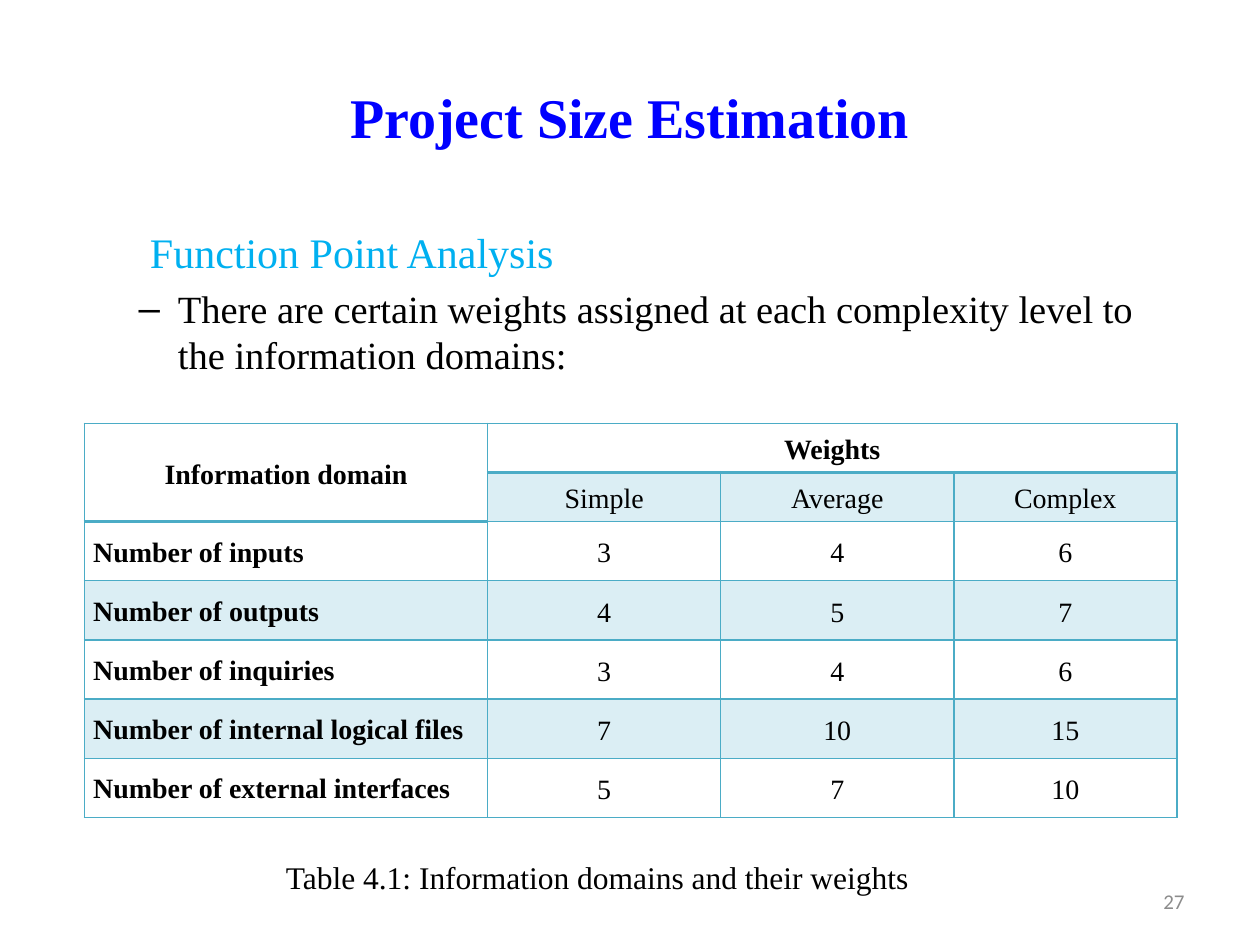
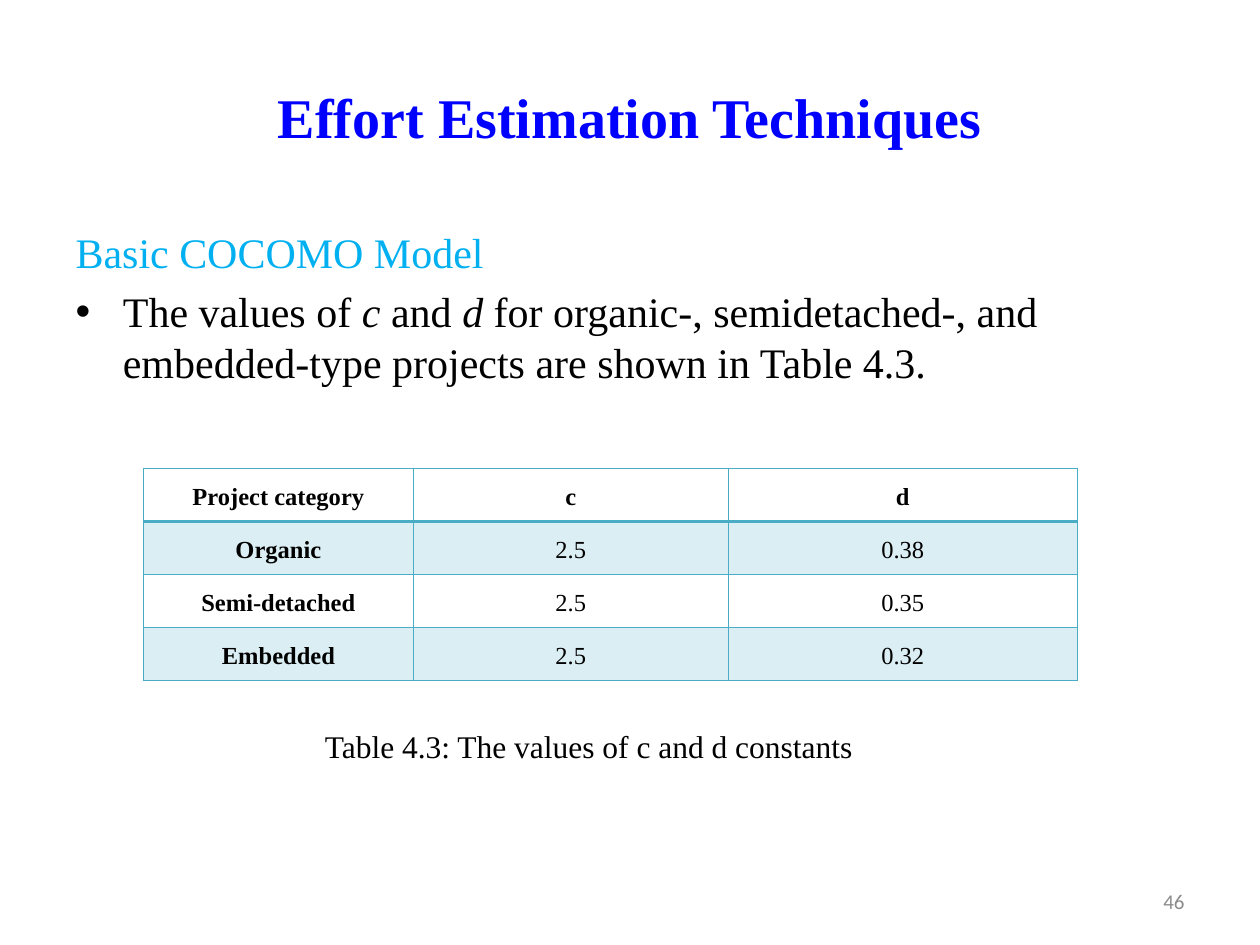
from lxml import etree
from pptx import Presentation
from pptx.dml.color import RGBColor
from pptx.enum.text import MSO_ANCHOR, PP_ALIGN
from pptx.oxml.ns import qn
from pptx.util import Inches, Pt

LEFT, MID, RIGHT = PP_ALIGN.LEFT, PP_ALIGN.CENTER, PP_ALIGN.RIGHT
TOP, CENTER = MSO_ANCHOR.TOP, MSO_ANCHOR.MIDDLE
SERIF, SANS = "Times New Roman", "Calibri"
HUES = {"title": "0000FF", "topic": "00B0F0", "text": "000000",
        "line": "4BACC6", "band": "DBEEF4", "page": "8C8C8C"}

SLIDES = [
    {"title": "Project Size Estimation",
     "topic": "Function Point Analysis", "indent": 0.59,
     "point": [("There are certain weights assigned at each complexity level "
                "to the information domains:", False)],
     "level": 1, "size": 22,
     "table": {
         "rows": [["Information domain", "Weights", "", ""],
                  ["", "Simple", "Average", "Complex"],
                  ["Number of inputs", "3", "4", "6"],
                  ["Number of outputs", "4", "5", "7"],
                  ["Number of inquiries", "3", "4", "6"],
                  ["Number of internal logical files", "7", "10", "15"],
                  ["Number of external interfaces", "5", "7", "10"]],
         "at": (0.67, 3.36), "cols": [3.2, 1.85, 1.85, 1.77],
         "heights": [0.39] * 2 + [0.47] * 5, "size": 16, "heads": 2,
         "merges": [(0, 0, 1, 0), (0, 1, 0, 3)],
         "names": (LEFT, TOP, 1.5)},
     "note": "Table 4.1: Information domains and their weights",
     "spot": (2.17, 6.76, 6.69, 0.4), "wrap": True, "page": "27"},
    {"title": "Effort Estimation Techniques",
     "topic": "Basic COCOMO Model", "indent": 0,
     "point": [("The values of ", False), ("c", True), (" and ", False),
               ("d", True), (" for organic-, semidetached-, and embedded-type "
                             "projects are shown in Table 4.3.", False)],
     "level": 0, "size": 24,
     "table": {
         "rows": [["Project category", "c", "d"],
                  ["Organic", "2.5", "0.38"],
                  ["Semi-detached", "2.5", "0.35"],
                  ["Embedded", "2.5", "0.32"]],
         "at": (1.14, 3.72), "cols": [2.14, 2.5, 2.77],
         "heights": [0.42] * 4, "size": 14, "heads": 1, "merges": [],
         "names": (MID, CENTER, 1.15)},
     "note": "Table 4.3: The values of c and d constants",
     "spot": (2.48, 5.72, 4.44, 0.4), "wrap": False, "page": "46"},
]


def style(run, size, hue, bold=False, slant=False, face=SERIF):
    font = run.font
    font.name, font.size = face, Pt(size)
    font.bold, font.italic = bold, slant
    font.color.rgb = RGBColor.from_string(HUES[hue])


def place(shape, *box):
    shape.left, shape.top, shape.width, shape.height = map(Inches, box)


def add_label(slide, text, box, size, hue, face=SERIF, align=LEFT,
              anchor=TOP, wrap=True):
    frame = slide.shapes.add_textbox(*map(Inches, box)).text_frame
    frame.word_wrap, frame.vertical_anchor = wrap, anchor
    frame.text = text
    para = frame.paragraphs[0]
    para.alignment = align
    style(para.runs[0], size, hue, face=face)


def fill_body(frame, data):
    frame.text = data["topic"]
    topic = frame.paragraphs[0]
    props = topic._p.get_or_add_pPr()
    props.set("marL", str(Inches(data["indent"])))
    props.set("indent", "0")
    etree.SubElement(props, qn("a:buNone"))
    topic.space_before = Pt(0)
    style(topic.runs[0], 24, "topic")
    point = frame.add_paragraph()
    point.level = data["level"]
    for text, slant in data["point"]:
        run = point.add_run()
        run.text = text
        style(run, data["size"], "text", slant=slant)


def add_edges(cell, above, below):
    props = cell._tc.get_or_add_tcPr()
    for side, width in (("L", 1), ("R", 1), ("T", above), ("B", below)):
        line = etree.SubElement(props, qn("a:ln" + side), w=str(Pt(width)))
        fill = etree.SubElement(line, qn("a:solidFill"))
        etree.SubElement(fill, qn("a:srgbClr"), val=HUES["line"])


def add_grid(slide, data):
    rows, cols, heights = data["rows"], data["cols"], data["heights"]
    box = (*data["at"], sum(cols), sum(heights))
    grid = slide.shapes.add_table(len(rows), len(cols),
                                  *map(Inches, box)).table
    grid.first_row = grid.horz_banding = False
    for col, width in zip(grid.columns, cols):
        col.width = Inches(width)
    for row, height in zip(grid.rows, heights):
        row.height = Inches(height)
    for r, row in enumerate(rows):
        for c, text in enumerate(row):
            cell = grid.cell(r, c)
            heads = data["heads"] if c == 0 else 1
            add_edges(cell, 2 if 0 < r <= heads else 1, 2 if r < heads else 1)
            if r % 2 and r >= heads:
                cell.fill.solid()
                cell.fill.fore_color.rgb = RGBColor.from_string(HUES["band"])
            else:
                cell.fill.background()
            cell.margin_left = cell.margin_right = Inches(0.07)
            cell.margin_top = cell.margin_bottom = 0
            named = c == 0 and r >= heads
            align, anchor, space = data["names"] if named else (MID, CENTER, 1.15)
            cell.vertical_anchor = anchor
            cell.text = text
            para = cell.text_frame.paragraphs[0]
            para.alignment, para.line_spacing = align, space
            for run in para.runs:
                style(run, data["size"], "text", bold=r == 0 or c == 0)
    for top, left, low, right in data["merges"]:
        grid.cell(top, left).merge(grid.cell(low, right))


def add_slide(deck, data):
    slide = deck.slides.add_slide(deck.slide_layouts[1])
    title, body = slide.placeholders
    place(title, 0.5, 0.3, 9, 1.25)
    title.text_frame.text = data["title"]
    title.text_frame.vertical_anchor = CENTER
    para = title.text_frame.paragraphs[0]
    para.alignment = MID
    style(para.runs[0], 32, "title", bold=True)
    place(body, 0.5, 1.75, 9, 4.95)
    fill_body(body.text_frame, data)
    add_grid(slide, data["table"])
    add_label(slide, data["note"], data["spot"], 18, "text", wrap=data["wrap"])
    add_label(slide, data["page"], (7.17, 6.95, 2.33, 0.4), 12, "page",
              SANS, RIGHT, CENTER)


def main():
    deck = Presentation()
    deck.slide_width, deck.slide_height = Inches(10), Inches(7.5)
    for data in SLIDES:
        add_slide(deck, data)
    deck.save("out.pptx")


if __name__ == "__main__":
    main()
